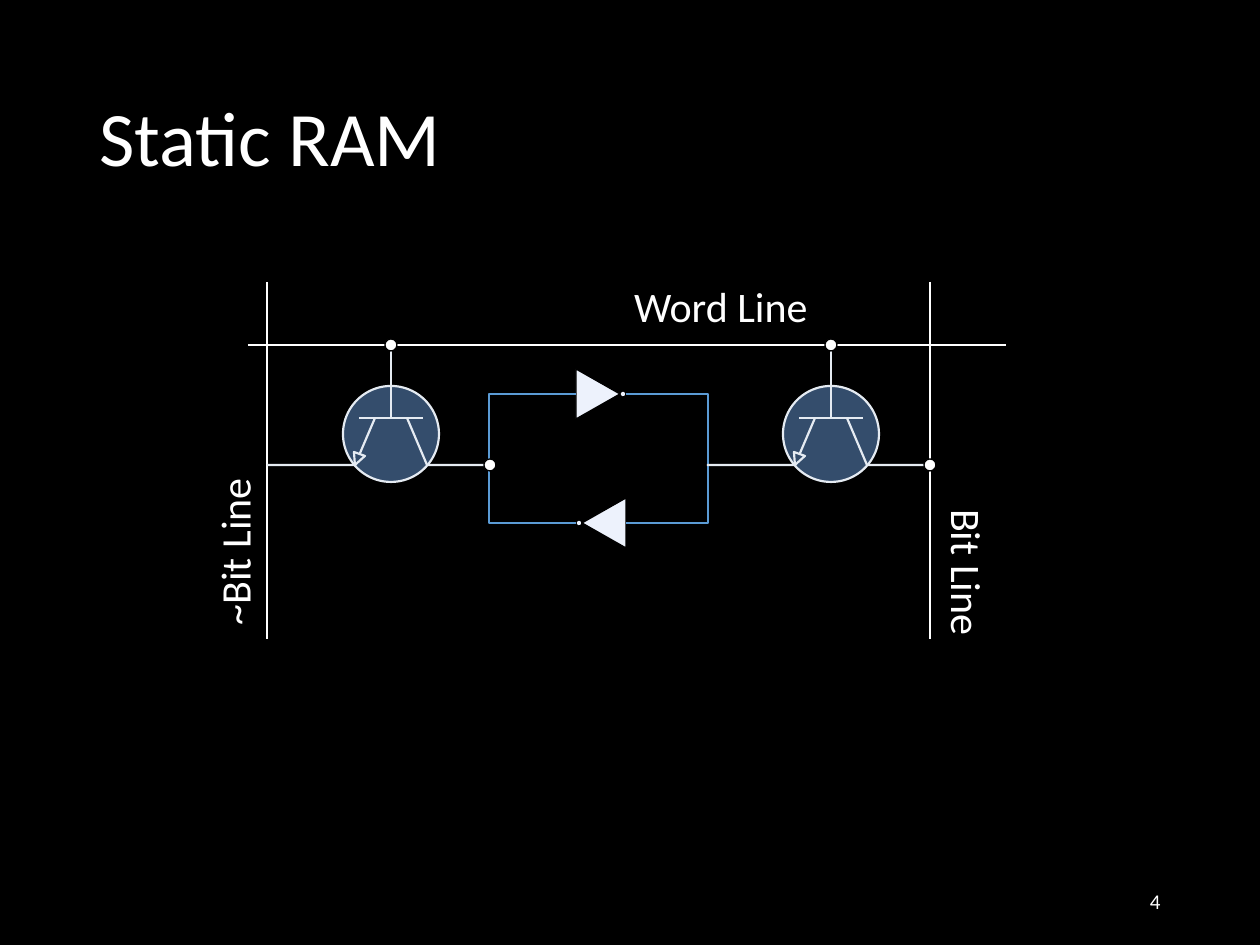
from lxml import etree
from pptx import Presentation
from pptx import util as u
from pptx.dml.color import RGBColor
from pptx.enum import shapes, text
from pptx.oxml.ns import qn

SCALE = 914400 / 126  # EMU in one px
WIDTH, HEIGHT = 1260, 945
FONT = "Calibri"
COLORS = {
    "black": "000000",
    "white": "FFFFFF",
    "body": "344D6C",
    "outline": "E5EBF2",
    "gate": "EDF2FC",
    "wire": "5B9BD5",
}

# Content: text, box (left, top, width, height) and format
TITLE = ("Static RAM", (87, 50, 1086, 183))
NUMBER = ("4", (890, 876, 283, 50))
LABELS = [
    ("Word Line", (634, 281, 183, 50), 0),
    ("Bit Line", (901, 551, 134, 50), 90),
    ("~Bit Line", (156, 523, 155, 50), 270),
]

# Content: circuit
WORD_LINE = (248, 345, 1006, 345)
BIT_LINES = [267, 930]
BIT_TOP, BIT_BOTTOM = 282, 639
TRANSISTORS = [391, 831]
CENTER_Y, RADIUS = 434, 48
BAR_Y, WIRE_Y = 418, 465
LEFT_REACH, RIGHT_REACH = 124, 99
GATES = [(576, 394, 1), (626, 523, -1)]  # input x, centre y, direction
NODES = [489, 708]
GATE_LENGTH, GATE_HALF, GATE_DOT = 44, 25, 3

presentation = Presentation()


def px(value):
    return u.Emu(round(value * SCALE))


presentation.slide_width, presentation.slide_height = px(WIDTH), px(HEIGHT)
slide = presentation.slides.add_slide(presentation.slide_layouts[6])


def color(name):
    return RGBColor.from_string(COLORS[name])


slide.background.fill.solid()
slide.background.fill.fore_color.rgb = color("black")


def add_text(words, box, size=24, align="LEFT", anchor="TOP", rotation=0,
             inset=None, wrap=True, spacing=None):
    shape = slide.shapes.add_textbox(*map(px, box))
    shape.rotation = rotation
    frame = shape.text_frame
    frame.word_wrap = wrap
    frame.vertical_anchor = getattr(text.MSO_ANCHOR, anchor)
    if inset is not None:
        frame.margin_left = frame.margin_right = px(inset)
        frame.margin_top = frame.margin_bottom = px(inset)
    paragraph = frame.paragraphs[0]
    paragraph.alignment = getattr(text.PP_ALIGN, align)
    paragraph.line_spacing = spacing
    run = paragraph.add_run()
    run.text = words
    run.font.size, run.font.name = u.Pt(size), FONT
    run.font.color.rgb = color("white")


def paint(shape, fill=None, line="black", width=0):
    shape.shadow.inherit = False
    if fill:
        shape.fill.solid()
        shape.fill.fore_color.rgb = color(fill)
    else:
        shape.fill.background()
    shape.line.color.rgb = color(line)
    shape.line.width = u.Pt(width)


def add_circle(x, y, radius, **style):
    box = (x - radius, y - radius, 2 * radius, 2 * radius)
    paint(slide.shapes.add_shape(shapes.MSO_SHAPE.OVAL, *map(px, box)), **style)


def add_path(points, close=False, **style):
    builder = slide.shapes.build_freeform(*points[0], scale=SCALE)
    builder.add_line_segments(points[1:], close=close)
    paint(builder.convert_to_shape(), **style)


def add_line(x1, y1, x2, y2, line="white", width=1.25, kind="STRAIGHT"):
    connector = slide.shapes.add_connector(
        getattr(shapes.MSO_CONNECTOR, kind), *map(px, (x1, y1, x2, y2)))
    connector.line.color.rgb = color(line)
    connector.line.width = u.Pt(width)
    properties = connector._element.spPr
    etree.SubElement(properties, qn("a:effectLst"))
    return properties


def add_corner(x1, y1, x2, y2):
    """Run across to x2, then up or down to y2."""
    properties = add_line(x1, y1, x2, y2, line="wire", width=1.5, kind="ELBOW")
    geometry = properties.find(qn("a:prstGeom"))
    guides = geometry.find(qn("a:avLst"))
    if guides is None:
        guides = etree.SubElement(geometry, qn("a:avLst"))
    etree.SubElement(guides, qn("a:gd"), name="adj1", fmla="val 100000")


def add_transistor(x):
    stroke = {"line": "outline", "width": 1.25}
    add_circle(x, CENTER_Y, RADIUS, fill="body", **stroke)
    # Base, bar, collector and emitter
    add_line(x, WORD_LINE[1], x, BAR_Y, **stroke)
    add_line(x - 32, BAR_Y, x + 32, BAR_Y, **stroke)
    for side, reach in ((-1, LEFT_REACH), (1, RIGHT_REACH)):
        add_path([(x + side * 16, BAR_Y), (x + side * 36, WIRE_Y),
                  (x + side * reach, WIRE_Y)], **stroke)
    add_path([(x - 36, WIRE_Y), (x - 37, WIRE_Y - 13), (x - 26, WIRE_Y - 9)],
             close=True, fill="body", **stroke)
    # Junctions
    add_circle(x, WORD_LINE[1], 6, fill="white")
    add_circle(x + RIGHT_REACH, WIRE_Y, 6, fill="white")


def add_gate(x, y, direction):
    tip = x + direction * GATE_LENGTH
    add_path([(x, y - GATE_HALF), (tip, y), (x, y + GATE_HALF)],
             close=True, fill="gate")
    add_circle(tip + direction * GATE_DOT, y, GATE_DOT, fill="gate")
    # Wires from both ends of the gate to the storage nodes
    output = tip + direction * 2 * GATE_DOT
    for end, node in zip(sorted((x, output)), NODES):
        add_corner(end, y, node, WIRE_Y)


# Text
add_text(*TITLE, size=44, anchor="MIDDLE", spacing=0.9)
add_text(*NUMBER, size=12, align="RIGHT", anchor="MIDDLE")
for words, box, rotation in LABELS:
    add_text(words, box, rotation=rotation, inset=0, wrap=False)

# Word line and bit lines
add_line(*WORD_LINE)
for x in BIT_LINES:
    add_line(x, BIT_TOP, x, BIT_BOTTOM)

# Cross-coupled inverters, then the access transistors over their wires
for gate in GATES:
    add_gate(*gate)
for x in TRANSISTORS:
    add_transistor(x)

presentation.save("out.pptx")
